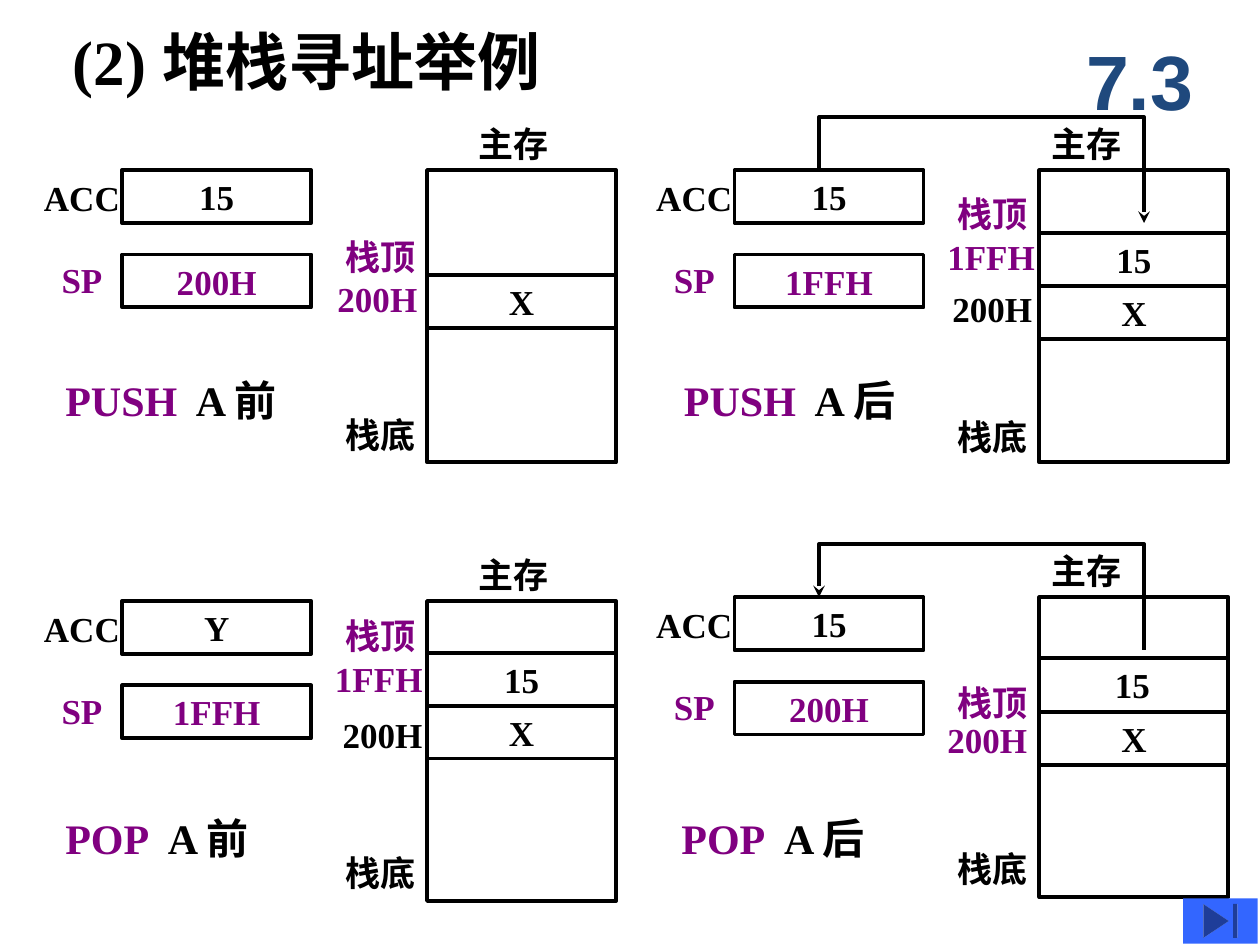
from dataclasses import dataclass

from lxml.etree import SubElement
from pptx import Presentation
from pptx.dml.color import RGBColor
from pptx.enum.shapes import MSO_CONNECTOR, MSO_SHAPE
from pptx.enum.text import MSO_ANCHOR, MSO_AUTO_SIZE, PP_ALIGN
from pptx.oxml.ns import qn
from pptx.util import Inches, Pt


@dataclass(frozen=True)
class Theme:
    ink: RGBColor = RGBColor(0x00, 0x00, 0x00)
    accent: RGBColor = RGBColor(0x80, 0x00, 0x80)
    section: RGBColor = RGBColor(0x1F, 0x49, 0x7D)
    button: RGBColor = RGBColor(0x33, 0x66, 0xFF)
    serif: str = "Times New Roman"
    sans: str = "Arial"
    label_size: int = 20
    caption_size: int = 24
    title_size: int = 36
    section_size: int = 44
    line_width: float = 2.25


THEME = Theme()
CELL_WIDTH, CELL_HEIGHT = 1.5, 0.42
LABEL_HEIGHT, ADDRESS_WIDTH = 0.43, 0.92
REGISTER_X, MEMORY_X = 0.72, 3.14
ARROW_START_X, ARROW_END_X, ARROW_RISE = 1.39, 3.97, 0.42


@dataclass
class Panel:
    """One machine state; offsets in inches from the top left of its box."""
    left: float
    top: float
    accumulator: str
    pointer: str
    memory_height: float
    memory_label_x: float
    cells: list        # (text, y)
    stack_top_y: float
    addresses: list    # (text, x, y, width, colour)
    stack_bottom_y: float
    caption: tuple     # (operation, operand and moment, x, y, width)
    arrow_end: str = ""
    open_cell: tuple = ()   # (text, x, y): bounded above by a line only


PANELS = [
    Panel(0.25, 1.35, "15", "200H", 2.32, 3.45, [("X", 0.83)], 0.47,
          [("200H", 2.33, 0.8, ADDRESS_WIDTH, THEME.accent)], 1.88,
          ("PUSH", "  A 前", 0.17, 1.57, 1.92)),
    Panel(5.11, 1.35, "15", "1FFH", 2.32, 3.14, [("15", 0.5), ("X", 0.92)], 0.13,
          [("1FFH", 2.31, 0.47, ADDRESS_WIDTH, THEME.accent),
           ("200H", 2.35, 0.88, ADDRESS_WIDTH, THEME.ink)], 1.9,
          ("PUSH", "  A 后", 0.22, 1.57, 1.92), arrow_end="tailEnd"),
    Panel(0.25, 4.77, "Y", "1FFH", 2.38, 3.45, [("15", 0.41), ("X", 0.83)], 0.06,
          [("1FFH", 2.31, 0.4, ADDRESS_WIDTH, THEME.accent),
           ("200H", 2.37, 0.84, ADDRESS_WIDTH, THEME.ink)], 1.94,
          ("POP", "  A 前", 0.17, 1.63, 1.69)),
    Panel(5.11, 4.74, "15", "200H", 2.38, 3.14, [("X", 0.91)], 0.62,
          [("200H", 2.31, 0.91, ADDRESS_WIDTH, THEME.accent)], 1.94,
          ("POP", "  A 后", 0.2, 1.66, 1.69), arrow_end="headEnd",
          open_cell=("15", 3.64, 0.48)),
]


def format_run(run, size, color, font_name=THEME.serif):
    run.font.size = Pt(size)
    run.font.bold = True
    run.font.name = font_name
    run.font.color.rgb = color


def add_text(shapes, text, left, top, width, height, size=THEME.label_size,
             color=THEME.ink, font_name=THEME.serif, wrap=False):
    box = shapes.add_textbox(Inches(left), Inches(top), Inches(width), Inches(height))
    frame = box.text_frame
    frame.text = text
    frame.word_wrap = wrap
    frame.auto_size = MSO_AUTO_SIZE.NONE if wrap else MSO_AUTO_SIZE.SHAPE_TO_FIT_TEXT
    for run in frame.paragraphs[0].runs:
        format_run(run, size, color, font_name)
    return box


def style_line(shape):
    shape.line.color.rgb = THEME.ink
    shape.line.width = Pt(THEME.line_width)


def add_cell(shapes, text, left, top, height=CELL_HEIGHT, color=THEME.ink):
    cell = shapes.add_shape(MSO_SHAPE.RECTANGLE, Inches(left), Inches(top),
                            Inches(CELL_WIDTH), Inches(height))
    cell.shadow.inherit = False
    cell.fill.background()
    style_line(cell)
    if text:
        frame = cell.text_frame
        frame.text = text
        frame.word_wrap = False
        frame.vertical_anchor = MSO_ANCHOR.MIDDLE
        paragraph = frame.paragraphs[0]
        paragraph.alignment = PP_ALIGN.CENTER
        format_run(paragraph.runs[0], THEME.label_size, color)


def add_registers(shapes, panel):
    rows = [("ACC", panel.accumulator, 0, 0, 0, 0.81, THEME.ink),
            ("SP", panel.pointer, 0.67, 0.14, 0.65, 0.53, THEME.accent)]
    for name, value, cell_y, label_x, label_y, label_width, color in rows:
        add_cell(shapes, value, panel.left + REGISTER_X, panel.top + cell_y, color=color)
        add_text(shapes, name, panel.left + label_x, panel.top + label_y,
                 label_width, LABEL_HEIGHT, color=color)


def add_memory(shapes, panel):
    left = panel.left + MEMORY_X
    add_cell(shapes, "", left, panel.top, panel.memory_height)
    for text, y in panel.cells:
        add_cell(shapes, text, left, panel.top + y)
    labels = [("主存", panel.memory_label_x, -LABEL_HEIGHT, 0.76, THEME.ink),
              ("栈顶", 2.39, panel.stack_top_y, 0.76, THEME.accent),
              ("栈底", 2.39, panel.stack_bottom_y, 0.76, THEME.ink)]
    for text, x, y, width, color in labels + panel.addresses:
        add_text(shapes, text, panel.left + x, panel.top + y, width, LABEL_HEIGHT, color=color)
    if panel.open_cell:
        text, x, y = panel.open_cell
        edge_y = Inches(panel.top + y)
        edge = shapes.add_connector(MSO_CONNECTOR.STRAIGHT, Inches(left), edge_y,
                                    Inches(left + CELL_WIDTH), edge_y)
        style_line(edge)
        SubElement(edge._element.spPr, qn("a:effectLst"))
        add_text(shapes, text, panel.left + x, panel.top + y, 0.92, LABEL_HEIGHT, wrap=True)


def add_transfer_arrow(shapes, panel):
    """Elbow between accumulator and memory, pointed at panel.arrow_end."""
    start_x = Inches(panel.left + ARROW_START_X)
    end_x = Inches(panel.left + ARROW_END_X)
    upper_y = Inches(panel.top - ARROW_RISE)
    builder = shapes.build_freeform(start_x, Inches(panel.top))
    builder.add_line_segments([(start_x, upper_y), (end_x, upper_y),
                               (end_x, Inches(panel.top + ARROW_RISE))], close=False)
    arrow = builder.convert_to_shape()
    arrow.shadow.inherit = False
    arrow.fill.background()
    style_line(arrow)
    SubElement(arrow.line._get_or_add_ln(), qn(f"a:{panel.arrow_end}"), type="stealth")


def add_panel(slide, panel):
    shapes = slide.shapes.add_group_shape().shapes
    add_registers(shapes, panel)
    add_memory(shapes, panel)
    if panel.arrow_end:
        add_transfer_arrow(shapes, panel)
    operation, operand, x, y, width = panel.caption
    caption = add_text(slide.shapes, operation, panel.left + x, panel.top + y, width, 0.5,
                       THEME.caption_size, THEME.accent, wrap=True)
    run = caption.text_frame.paragraphs[0].add_run()
    run.text = operand
    format_run(run, THEME.caption_size, THEME.ink)


def add_heading(slide):
    add_text(slide.shapes, "(2) 堆栈寻址举例", 0.48, 0.13, 4.52, 0.7,
             THEME.title_size, wrap=True)
    section = add_text(slide.shapes, "7.3", 8.42, 0.17, 1.25, 0.92, THEME.section_size,
                       THEME.section, THEME.sans, wrap=True)
    section.text_frame.vertical_anchor = MSO_ANCHOR.MIDDLE
    section.text_frame.paragraphs[0].alignment = PP_ALIGN.CENTER


def add_end_button(slide, left, top, width, height):
    button = slide.shapes.add_shape(MSO_SHAPE.ACTION_BUTTON_END, Inches(left), Inches(top),
                                    Inches(width), Inches(height))
    button.shadow.inherit = False
    button.fill.solid()
    button.fill.fore_color.rgb = THEME.button
    button.line.fill.background()


def main():
    presentation = Presentation()
    presentation.slide_width, presentation.slide_height = Inches(10), Inches(7.5)
    slide = presentation.slides.add_slide(presentation.slide_layouts[6])
    add_heading(slide)
    for panel in PANELS:
        add_panel(slide, panel)
    add_end_button(slide, 9.39, 7.13, 0.59, 0.36)
    presentation.save("out.pptx")


if __name__ == "__main__":
    main()
